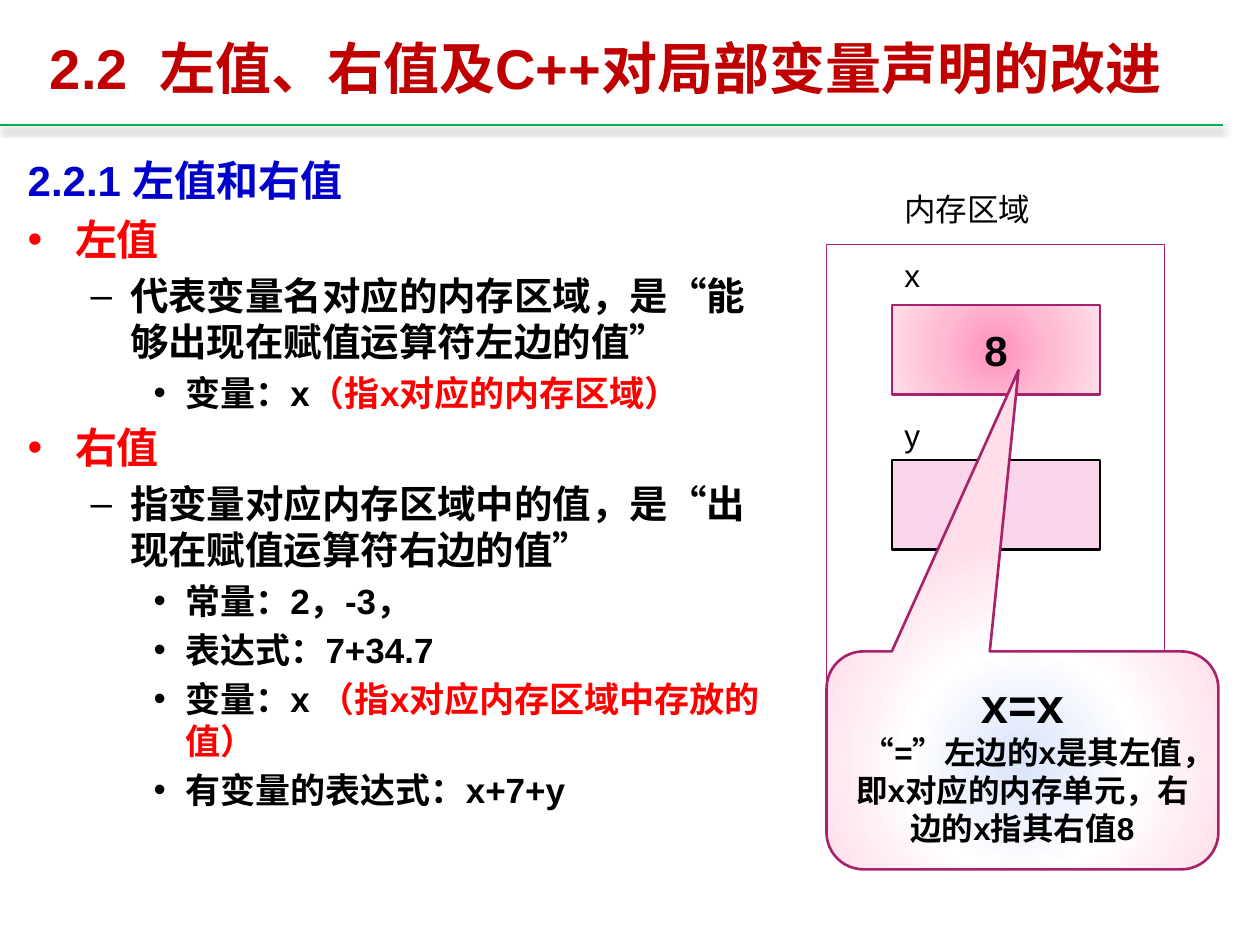
from lxml import etree
from pptx import Presentation
from pptx.dml.color import RGBColor
from pptx.enum.lang import MSO_LANGUAGE_ID
from pptx.enum.shapes import MSO_CONNECTOR, MSO_SHAPE
from pptx.enum.text import MSO_ANCHOR, MSO_AUTO_SIZE, PP_ALIGN
from pptx.oxml import parse_xml
from pptx.oxml.ns import nsdecls, qn
from pptx.util import Inches, Pt

CHINESE = MSO_LANGUAGE_ID.SIMPLIFIED_CHINESE
CENTER = PP_ALIGN.CENTER
MIDDLE = MSO_ANCHOR.MIDDLE
BLACK = RGBColor(0x00, 0x00, 0x00)
RED = RGBColor(0xFF, 0x00, 0x00)
DARK_RED = RGBColor(0xC0, 0x00, 0x00)
BLUE = RGBColor(0x00, 0x00, 0xCC)
GREEN = RGBColor(0x00, 0xB0, 0x50)
MAGENTA = RGBColor(0xA8, 0x21, 0x6B)
PINK = RGBColor(0xF9, 0xD5, 0xE9)
ROSE_GLOW = (RGBColor(0xFF, 0x90, 0xBC), RGBColor(0xFF, 0xBB, 0xD4), RGBColor(0xFF, 0xDD, 0xE9))
PALE_GLOW = (RGBColor(0xDA, 0xE3, 0xFA), RGBColor(0xFF, 0xFF, 0xFF), RGBColor(0xFF, 0xDD, 0xE9))


def style(paragraph, size, color, bold=True):
    for run in paragraph.runs:
        run.font.name = "Arial"
        run.font.size = Pt(size)
        run.font.bold = bold
        run.font.color.rgb = color
        run.font.language_id = CHINESE


def add_box(kind, box, line_color, line_width, fill=None):
    """Add an outlined shape; fill is None, one colour, or three colours from the centre out."""
    shape = slide.shapes.add_shape(kind, *map(Inches, box))
    shape.shadow.inherit = False
    shape.line.color.rgb = line_color
    shape.line.width = Pt(line_width)
    shape.text_frame.word_wrap = True
    shape.text_frame.vertical_anchor = MIDDLE
    if fill is None:
        shape.fill.background()
    elif isinstance(fill, RGBColor):
        shape.fill.solid()
        shape.fill.fore_color.rgb = fill
    else:
        stops = "".join(
            f'<a:gs pos="{i * 50000}"><a:srgbClr val="{color}"/></a:gs>'
            for i, color in enumerate(fill))
        shape.element.spPr.find(qn("a:prstGeom")).addnext(parse_xml(
            f'<a:gradFill {nsdecls("a")} rotWithShape="1"><a:gsLst>{stops}</a:gsLst>'
            '<a:path path="circle"><a:fillToRect l="50000" t="50000" r="50000" b="50000"/>'
            '</a:path></a:gradFill>'))
    return shape


deck = Presentation()
deck.slide_width, deck.slide_height = Inches(10), Inches(7.5)
slide = deck.slides.add_slide(deck.slide_layouts[1])
title, outline = slide.placeholders

# Heading and its rule
title.left, title.top, title.width, title.height = map(Inches, (-0.03, 0.09, 9.68, 0.89))
title.text_frame.text = "2.2  左值、右值及C++对局部变量声明的改进"
title.text_frame.auto_size = MSO_AUTO_SIZE.NONE
title.text_frame.vertical_anchor = MIDDLE
style(title.text_frame.paragraphs[0], 32, DARK_RED)

rule = slide.shapes.add_connector(
    MSO_CONNECTOR.STRAIGHT, 0, Inches(0.99), Inches(9.71), Inches(0.99))
rule.line.color.rgb = GREEN
rule.line.width = Pt(1.25)
effects = etree.SubElement(rule.element.spPr, qn("a:effectLst"))
effects.append(parse_xml(
    f'<a:outerShdw {nsdecls("a")} blurRad="{Pt(4)}" dist="{Pt(2.5)}" dir="5400000" rotWithShape="0">'
    '<a:srgbClr val="000000"><a:alpha val="47000"/></a:srgbClr></a:outerShdw>'))

# Outline: level, text, colour, red remark
LEVEL_SIZES = (24, 22, 20)
points = [
    (0, "2.2.1 左值和右值", BLUE, ""),
    (0, "左值", RED, ""),
    (1, "代表变量名对应的内存区域，是“能够出现在赋值运算符左边的值”", BLACK, ""),
    (2, "变量：x", BLACK, "（指x对应的内存区域）"),
    (0, "右值", RED, ""),
    (1, "指变量对应内存区域中的值，是“出现在赋值运算符右边的值”", BLACK, ""),
    (2, "常量：2，-3，", BLACK, ""),
    (2, "表达式：7+34.7", BLACK, ""),
    (2, "变量：x", BLACK, " （指x对应内存区域中存放的值）"),
    (2, "有变量的表达式：x+7+y", BLACK, ""),
]
outline.left, outline.top, outline.width, outline.height = map(Inches, (0.12, 1.18, 6.14, 5.57))
outline.text_frame.text = "\n".join(text for _, text, _, _ in points)
outline.text_frame.auto_size = MSO_AUTO_SIZE.NONE
for paragraph, (level, _, color, remark) in zip(outline.text_frame.paragraphs, points):
    paragraph.level = level
    if remark:
        paragraph.add_run().text = remark
    style(paragraph, LEVEL_SIZES[level], color)
    if remark:
        paragraph.runs[-1].font.color.rgb = RED

section = outline.text_frame.paragraphs[0]._p.get_or_add_pPr()
section.set("marL", "0")
section.set("indent", "0")
etree.SubElement(section, qn("a:buNone"))

# Memory area with its two variables
CELL_LEFT, CELL_WIDTH, CELL_HEIGHT = 7.08, 1.65, 0.71
add_box(MSO_SHAPE.RECTANGLE, (6.56, 1.94, 2.68, 3.94), MAGENTA, 0.75)
x_cell = add_box(MSO_SHAPE.RECTANGLE, (CELL_LEFT, 2.42, CELL_WIDTH, CELL_HEIGHT),
                 MAGENTA, 1.5, ROSE_GLOW)
x_cell.text_frame.text = "8"
x_cell.text_frame.paragraphs[0].alignment = CENTER
style(x_cell.text_frame.paragraphs[0], 24, BLACK)
add_box(MSO_SHAPE.RECTANGLE, (CELL_LEFT, 3.65, CELL_WIDTH, CELL_HEIGHT), BLACK, 1.5, PINK)

for name, top in (("内存区域", 1.46), ("x", 1.98), ("y", 3.25)):
    label = slide.shapes.add_textbox(*map(Inches, (CELL_LEFT, top, 1.57, 0.4)))
    label.text_frame.word_wrap = True
    label.text_frame.text = name
    style(label.text_frame.paragraphs[0], 18, BLACK, bold=False)

# Callout on the assignment
callout = add_box(MSO_SHAPE.ROUNDED_RECTANGULAR_CALLOUT, (6.56, 5.17, 3.11, 1.73),
                  MAGENTA, 1.5, PALE_GLOW)
for i, share in enumerate((-0.01, -1.79, 0.17)):
    callout.adjustments[i] = share
callout.text_frame.text = "x=x\n“=”左边的x是其左值，即x对应的内存单元，右边的x指其右值8"
for paragraph, size in zip(callout.text_frame.paragraphs, (28, 18)):
    paragraph.alignment = CENTER
    style(paragraph, size, BLACK)

deck.save("out.pptx")
